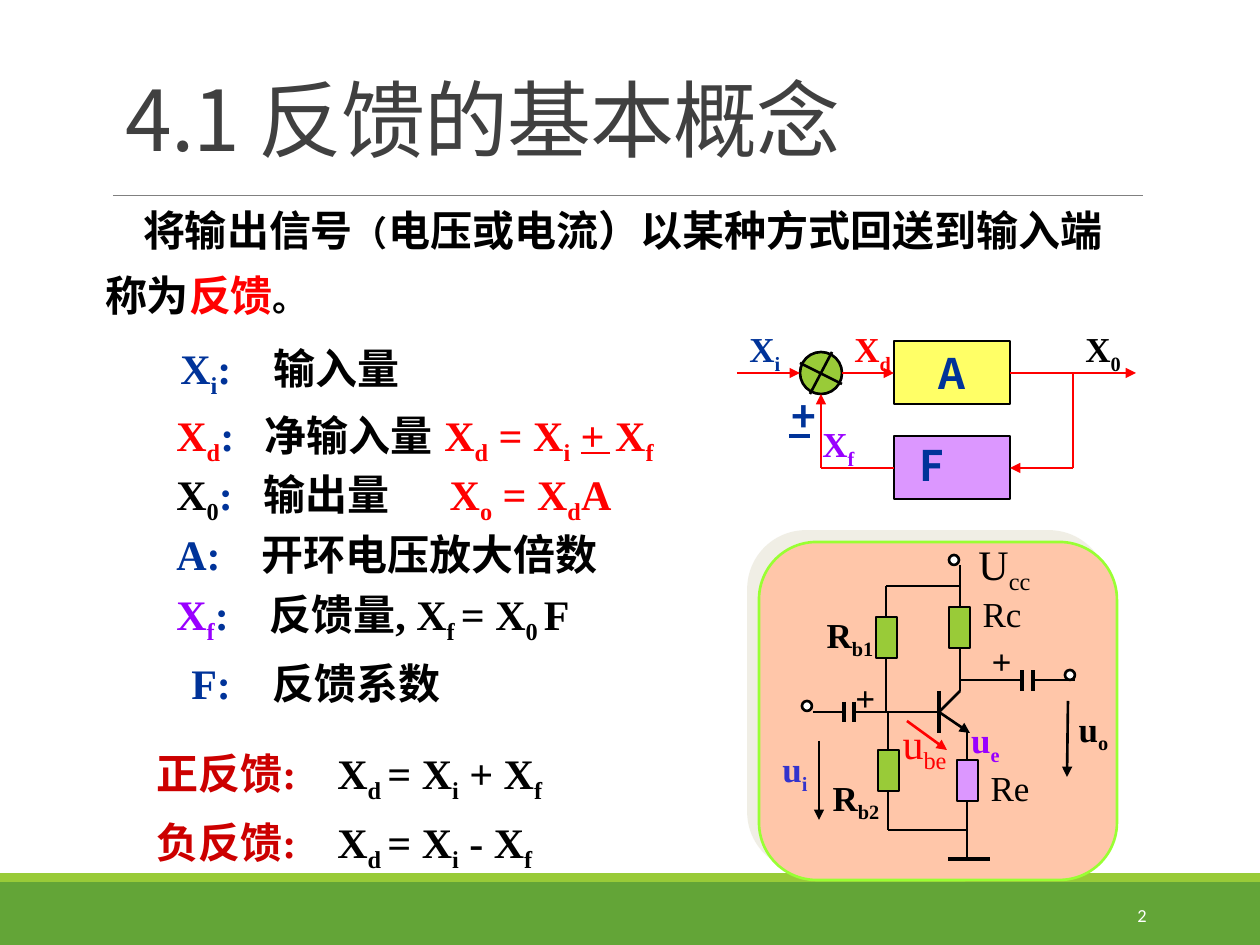
from dataclasses import dataclass

from lxml import etree
from pptx import Presentation
from pptx import util as u
from pptx.dml import color as dml
from pptx.enum import shapes, text
from pptx.oxml import ns


@dataclass(frozen=True)
class Theme:
    """Colours, type sizes and fonts of the slide."""
    black: str = "000000"
    white: str = "FFFFFF"
    grey: str = "808080"
    ink: str = "404040"
    green: str = "63A537"
    lime: str = "99CB38"
    edge: str = "99FF33"
    peach: str = "FFC6A9"
    lemon: str = "FFFF66"
    lilac: str = "DC97FF"
    shade: str = "E2DFCC"
    navy: str = "003399"
    blue: str = "3333CC"
    violet: str = "9900FF"
    red: str = "FF0000"
    ruby: str = "CC0000"
    head: float = 48
    body: float = 24
    label: float = 20
    page: float = 10.5
    thin: float = 0.5
    line: float = 1.5
    thick: float = 2.25
    serif: str = "Times New Roman"
    sans: str = "Noto Sans CJK SC"
    plain: str = "Calibri"


T = Theme()
MID, RIGHT = text.PP_ALIGN.CENTER, text.PP_ALIGN.RIGHT
KIND = shapes.MSO_SHAPE


def px(*vals):
    """Turn pixels into EMU."""
    return [u.Emu(round(v * 914400 / 126)) for v in vals]


def rgb(tone):
    """Give the theme colour of that name."""
    return dml.RGBColor.from_string(getattr(T, tone))


def put(obj, **vals):
    """Set attributes from format values."""
    for key, val in vals.items():
        setattr(obj, key, val)


def sub(parent, tag, **attrs):
    """Append a DrawingML child."""
    return etree.SubElement(parent, ns.qn("a:" + tag), attrs)


def write(para, spans, size=T.label, font=T.serif, bold=True):
    """Add coloured runs; underscores switch subscript on and off."""
    for tone, words, *own in spans:
        for i, part in enumerate(words.split("_")):
            if not part:
                continue
            run = para.add_run()
            run.text = part
            put(run.font, name=font, size=u.Pt(own[0] if own else size), bold=bold)
            run.font.color.rgb = rgb(tone)
            props = run._r.get_or_add_rPr()
            sub(props, "ea", typeface=T.sans)
            if i % 2:
                props.set("baseline", "-25000")


def label(slide, box, spans, align=None, wrap=True, turn=0, tab=0, **style):
    """Add a one-line text box, with an optional tab stop."""
    shape = slide.shapes.add_textbox(*px(*box))
    shape.rotation = turn
    shape.text_frame.word_wrap = wrap
    para = shape.text_frame.paragraphs[0]
    para.alignment = align
    if tab:
        stops = sub(para._p.get_or_add_pPr(), "tabLst")
        sub(stops, "tab", pos=str(px(tab)[0]), algn="l")
    write(para, spans, **style)
    return shape


def block(slide, kind, box, fill, edge="black"):
    """Add a filled preset shape."""
    shape = slide.shapes.add_shape(kind, *px(*box))
    shape.shadow.inherit = False
    shape.fill.solid()
    shape.fill.fore_color.rgb = rgb(fill)
    if edge:
        shape.line.color.rgb = rgb(edge)
        shape.line.width = u.Pt(T.line)
    else:
        shape.line.fill.background()
    return shape


def wire(slide, ends, tone="black", width=T.line, arrow=False):
    """Add a straight line or arrow."""
    link = slide.shapes.add_connector(shapes.MSO_CONNECTOR.STRAIGHT, *px(*ends))
    link.line.color.rgb = rgb(tone)
    link.line.width = u.Pt(width)
    if arrow:
        sub(link.line._get_or_add_ln(), "tailEnd", type="triangle")
    sub(link._element.spPr, "effectLst")


def frame(slide):
    """Draw the title, rule, footer bars and page number."""
    block(slide, KIND.RECTANGLE, (0, 882, 1260, 63), "green", None)
    block(slide, KIND.RECTANGLE, (0, 873, 1260, 9), "lime", None)
    wire(slide, (113, 195, 1143, 195), "grey", T.thin)
    title = slide.shapes.title
    put(title, **dict(zip(("left", "top", "width", "height"), px(113, 39, 1040, 136))))
    title.text_frame.vertical_anchor = text.MSO_ANCHOR.BOTTOM
    para = title.text_frame.paragraphs[0]
    put(para, alignment=text.PP_ALIGN.LEFT, line_spacing=0.85)
    write(para, [("ink", "4.1 反馈的基本概念")], T.head, T.sans, False)
    for run in para.runs:
        run._r.rPr.set("spc", "-50")
    page = label(slide, (1023, 890, 136, 50), [("white", "2")], RIGHT,
                 size=T.page, font=T.plain, bold=False)
    page.text_frame.vertical_anchor = text.MSO_ANCHOR.MIDDLE


def prose(slide):
    """Write the definition, the quantities and the two feedback cases."""
    body = slide.shapes.add_textbox(*px(105, 189, 1041, 131)).text_frame
    put(body, word_wrap=False, margin_left=0, margin_right=0, margin_top=0, margin_bottom=0)
    first, second = body.paragraphs[0], body.add_paragraph()
    put(first, line_spacing=1.3)
    put(second, line_spacing=1.3)
    first._p.get_or_add_pPr().set("indent", str(px(38)[0]))
    write(first, [("black", "将输出信号"), ("black", "（", T.label),
                  ("black", "电压或电流）以某种方式回送到输入端")], T.body, T.sans)
    write(second, [("black", "称为"), ("red", "反馈"), ("black", "。", T.label)], T.body, T.sans)
    for x, y, wide, tab, spans in (
            (168, 336, 273, 93, [("navy", "X_i_:\t"), ("black", "输入量")]),
            (164, 403, 387, 88, [("red", "X_d_"), ("navy", ":\t"), ("black", "净输入量")]),
            (164, 462, 277, 87, [("black", "X_0_"), ("navy", ":\t"), ("black", "输出量")]),
            (164, 522, 483, 85, [("navy", "A:\t"), ("black", "开环电压放大倍数")]),
            (164, 582, 494, 93, [("violet", "X_f_"), ("navy", ":\t"),
                                 ("black", "反馈量, X_f _= X_0 _F")]),
            (179, 651, 388, 81, [("navy", "F:\t"), ("black", "反馈系数")]),
            (144, 741, 473, 181, [("ruby", "正反馈:\t"), ("black", "X_d _= X_i_ + X_f_")]),
            (144, 810, 462, 181, [("ruby", "负反馈:\t"), ("black", "X_d _= X_i_ - X_f_")]),
            (432, 403, 268, 0, [("red", "X_d_ = X_i_ + X_f_")])):
        label(slide, (x, y, wide, 63), spans, tab=tab, size=T.body)
    label(slide, (420, 462, 221, 63), [("red", "X_o_ = X_d_A")], MID, size=T.body)
    wire(slide, (581, 453, 610, 453), "red")


def loop(slide):
    """Draw the feedback block diagram."""
    block(slide, KIND.OVAL, (800, 352, 42, 42), "lime")
    for ends in ((800, 363, 842, 384), (832, 352, 810, 394)):
        wire(slide, ends)
    block(slide, KIND.RECTANGLE, (894, 341, 116, 63), "lemon")
    block(slide, KIND.RECTANGLE, (894, 436, 116, 63), "lilac")
    for arrow, *ends in ((1, 737, 373, 800, 373), (1, 842, 373, 894, 373),
                         (1, 1010, 373, 1136, 373), (0, 1073, 373, 1073, 468),
                         (1, 1073, 468, 1010, 468), (0, 894, 468, 821, 468),
                         (1, 821, 468, 821, 394)):
        wire(slide, ends, "red", arrow=arrow)
    for box, tone, words, align in (((894, 341, 116, 63), "navy", "A", MID),
                                    ((907, 433, 98, 63), "navy", "F", None),
                                    ((779, 384, 73, 63), "navy", "+", None)):
        label(slide, box, [(tone, words)], align, size=T.body, font=T.sans)
    for x, y, tone, words in ((737, 321, "navy", "X_i_"), (842, 321, "red", "X_d_"),
                              (1073, 321, "black", "X_0_"), (810, 416, "violet", "X_f_")):
        label(slide, (x, y, 76, 54), [(tone, words)])
    wire(slide, (789, 436, 810, 436), "navy", T.thick)


def card(slide):
    """Draw the rounded panel with its offset shadow."""
    panel = block(slide, KIND.ROUNDED_RECTANGLE, (759, 542, 358, 338), "peach", "edge")
    panel.adjustments[0] = 0.17
    effects = panel._element.spPr.find(ns.qn("a:effectLst"))
    cast = sub(effects, "outerShdw", dist=str(u.Pt(8.5)), dir="13500000", rotWithShape="0")
    sub(sub(cast, "srgbClr", val=T.shade), "alpha", val="50000")


def circuit(slide):
    """Draw the transistor amplifier."""
    card(slide)
    for ends in ((854, 712, 939, 712), (960, 649, 960, 691), (960, 565, 960, 607),
                 (939, 712, 960, 691), (967, 731, 967, 857), (813, 712, 844, 712),
                 (886, 586, 960, 586), (886, 586, 886, 712), (960, 680, 1023, 680),
                 (1033, 680, 1075, 680), (888, 711, 888, 830), (888, 830, 967, 830)):
        wire(slide, ends)
    for ends in ((939, 691, 939, 733), (948, 859, 990, 859), (854, 702, 854, 722),
                 (844, 702, 844, 722), (1022, 691, 1022, 670), (1033, 691, 1033, 670)):
        wire(slide, ends, width=T.thick)
    for tone, *ends in (("black", 939, 712, 970, 733), ("black", 819, 741, 819, 820),
                        ("black", 1068, 701, 1067, 777), ("red", 907, 721, 947, 750)):
        wire(slide, ends, tone, arrow=True)
    for x, y in ((949, 555), (1065, 670), (802, 701)):
        block(slide, KIND.OVAL, (x, y, 10, 10), "white")
    for x, y, fill in ((949, 607, "lime"), (876, 617, "lime"), (878, 750, "lime"),
                       (957, 760, "lilac")):
        block(slide, KIND.RECTANGLE, (x, y, 21, 41), fill)
    for x, y, wide, turn, tone, words in (
            (949, 712, 73, 0, "violet", "u_e_"), (834, 670, 63, 0, "black", "+"),
            (970, 639, 63, 180, "black", "+"), (803, 607, 94, 0, "black", "R_b1_"),
            (748, 741, 94, 0, "blue", "u_i_"), (1057, 701, 73, 0, "black", "u_o_"),
            (809, 770, 94, 0, "black", "R_b2_")):
        label(slide, (x, y, wide, 54), [(tone, words)], MID, turn=turn)
    for x, y, wide, size, tone, words in (
            (960, 586, 84, T.label, "black", "Rc"), (968, 760, 84, T.label, "black", "Re"),
            (954, 532, 101, T.body, "black", "U_cc_"), (878, 711, 93, T.body, "red", "u_be_")):
        label(slide, (x, y, wide, 60), [(tone, words)], MID, size=size, bold=False)


def main():
    """Build and save the slide."""
    deck = Presentation()
    put(deck, **dict(zip(("slide_width", "slide_height"), px(1260, 945))))
    slide = deck.slides.add_slide(deck.slide_layouts[5])
    for job in (frame, prose, loop, circuit):
        job(slide)
    deck.save("out.pptx")


main()
